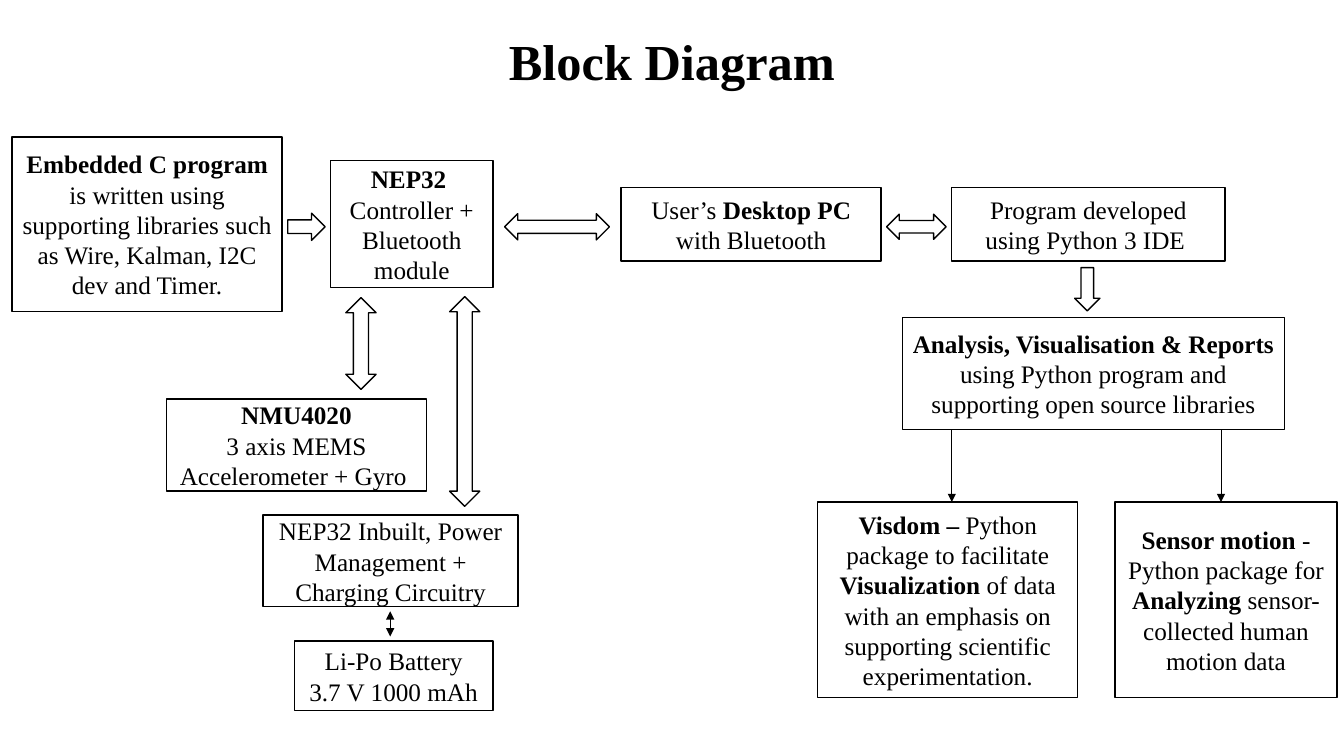
"""Build a block diagram slide of a motion-sensing system."""
from dataclasses import dataclass

from lxml.etree import SubElement
from pptx import Presentation
from pptx.dml.color import RGBColor
from pptx.enum.shapes import MSO_CONNECTOR as Connector, MSO_SHAPE as Shape
from pptx.enum.text import MSO_ANCHOR as Anchor, PP_ALIGN as Align
from pptx.oxml.ns import qn
from pptx.util import Inches, Pt


@dataclass(frozen=True)
class Theme:
    ink: RGBColor = RGBColor(0, 0, 0)
    paper: RGBColor = RGBColor(255, 255, 255)
    font: str = "Times New Roman"
    title_size: int = 36
    body_size: int = 18
    outline: float = 1
    thin: float = 0.5


THEME = Theme()
WIDTH, HEIGHT = Inches(13.33), Inches(7.5)
TITLE = "Block Diagram"
TITLE_AREA = (50, 8.47, 86.27, 19.33)
MAIN_ROW, PACKAGE_ROW = 29.67, 79.35

# Areas are centre x, centre y, width, height in percent of the slide.
BLOCKS = {
    "firmware": ((10.95, MAIN_ROW, 20.1, 23.07), [[
        ("Embedded C program ", True),
        ("is written using supporting libraries such as Wire, Kalman, I2C dev and Timer.", False)]]),
    "controller": ((30.64, MAIN_ROW, 12.08, 16.8), [
        [("NEP32 ", True)], [("Controller + Bluetooth module", False)]]),
    "computer": ((55.89, MAIN_ROW, 19.35, 9.73), [[
        ("User’s ", False), ("Desktop PC ", True), ("with Bluetooth", False)]]),
    "program": ((80.98, MAIN_ROW, 20.33, 9.73), [[
        ("Program developed using Python 3 IDE ", False)]]),
    "sensor": ((22.06, 58.87, 19.35, 12.13), [
        [("NMU4020", True)], [("3 axis MEMS Accelerometer + Gyro ", False)]]),
    "power": ((29.07, 74.2, 18.98, 12.13), [[
        ("NEP32 Inbuilt, Power Management + Charging Circuitry", False)]]),
    "battery": ((29.29, 89.4, 14.78, 9.2), [
        [("Li-Po Battery", False)], [("3.7 V 1000 mAh", False)]]),
    "analysis": ((81.36, 49.4, 28.43, 14.8), [[
        ("Analysis, Visualisation & Reports ", True),
        ("using Python program and supporting open source libraries", False)]]),
    "visualizing": ((70.52, PACKAGE_ROW, 19.35, 25.87), [[
        ("Visdom – ", True), ("Python package to facilitate ", False), ("Visualization", True),
        (" of data with an emphasis on supporting scientific experimentation.", False)]]),
    "analyzing": ((91.22, PACKAGE_ROW, 16.5, 25.87), [[
        ("Sensor motion ", True), ("- Python package for ", False), ("Analyzing", True),
        (" sensor-collected human motion data", False)]]),
}

ROW_ARROWS = [
    ("firmware", "controller", Shape.RIGHT_ARROW, 2.78, 3.6),
    ("controller", "computer", Shape.LEFT_RIGHT_ARROW, 7.8, 3.47),
    ("computer", "program", Shape.LEFT_RIGHT_ARROW, 4.43, 3.33),
]
COLUMN_ARROWS = [
    ("program", "analysis", Shape.DOWN_ARROW, 80.9, 1.88, 5.73),
    ("controller", "sensor", Shape.UP_DOWN_ARROW, 26.86, 2.25, 12.13),
    ("controller", "power", Shape.UP_DOWN_ARROW, 34.58, 2.25, 27.73),
]
THIN_ARROWS = [
    ("analysis", "visualizing", 70.82, 0, ["tailEnd"]),
    ("analysis", "analyzing", 90.85, 0, ["tailEnd"]),
    ("power", "battery", 29.03, 0.6, ["headEnd", "tailEnd"]),
]


def across(share):
    return round(WIDTH * share / 100)


def down(share):
    return round(HEIGHT * share / 100)


def frame(area):
    x, y, width, height = area
    return across(x - width / 2), down(y - height / 2), across(width), down(height)


def gap(first, second, axis):
    start, end = BLOCKS[first][0], BLOCKS[second][0]
    return start[axis] + start[axis + 2] / 2, end[axis] - end[axis + 2] / 2


def add_run(paragraph, text, size, bold):
    paragraph.alignment = Align.CENTER
    run = paragraph.add_run()
    run.text = text
    run.font.name, run.font.size, run.font.bold = THEME.font, Pt(size), bold
    run.font.color.rgb = THEME.ink


def add_outlined(slide, kind, area):
    shape = slide.shapes.add_shape(kind, *frame(area))
    shape.shadow.inherit = False
    shape.fill.solid()
    shape.fill.fore_color.rgb = THEME.paper
    shape.line.color.rgb = THEME.ink
    shape.line.width = Pt(THEME.outline)
    return shape


def add_block(slide, area, paragraphs):
    body = add_outlined(slide, Shape.RECTANGLE, area).text_frame
    body.word_wrap = True
    body.vertical_anchor = Anchor.MIDDLE
    for index, runs in enumerate(paragraphs):
        paragraph = body.add_paragraph() if index else body.paragraphs[0]
        for text, bold in runs:
            add_run(paragraph, text, THEME.body_size, bold)


def add_thin_arrow(slide, x, top, bottom, ends):
    arrow = slide.shapes.add_connector(
        Connector.STRAIGHT, across(x), down(top), across(x), down(bottom))
    arrow.line.color.rgb = THEME.ink
    arrow.line.width = Pt(THEME.thin)
    properties = arrow._element.spPr
    for end in ends:
        SubElement(properties.find(qn("a:ln")), qn(f"a:{end}"), type="triangle")
    SubElement(properties, qn("a:effectLst"))


def add_title(slide):
    title = slide.shapes.title
    title.left, title.top, title.width, title.height = frame(TITLE_AREA)
    title.text_frame.vertical_anchor = Anchor.MIDDLE
    heading = title.text_frame.paragraphs[0]
    heading.line_spacing = 0.9
    add_run(heading, TITLE, THEME.title_size, True)


def main():
    deck = Presentation()
    deck.slide_width, deck.slide_height = WIDTH, HEIGHT
    slide = deck.slides.add_slide(deck.slide_layouts[5])
    add_title(slide)
    for area, paragraphs in BLOCKS.values():
        add_block(slide, area, paragraphs)
    for first, second, kind, width, height in ROW_ARROWS:
        middle = sum(gap(first, second, 0)) / 2
        add_outlined(slide, kind, (middle, MAIN_ROW + 0.33, width, height))
    for first, second, kind, x, width, height in COLUMN_ARROWS:
        middle = sum(gap(first, second, 1)) / 2
        add_outlined(slide, kind, (x, middle, width, height))
    for first, second, x, margin, ends in THIN_ARROWS:
        top, bottom = gap(first, second, 1)
        add_thin_arrow(slide, x, top + margin, bottom - margin, ends)
    deck.save("out.pptx")


if __name__ == "__main__":
    main()
